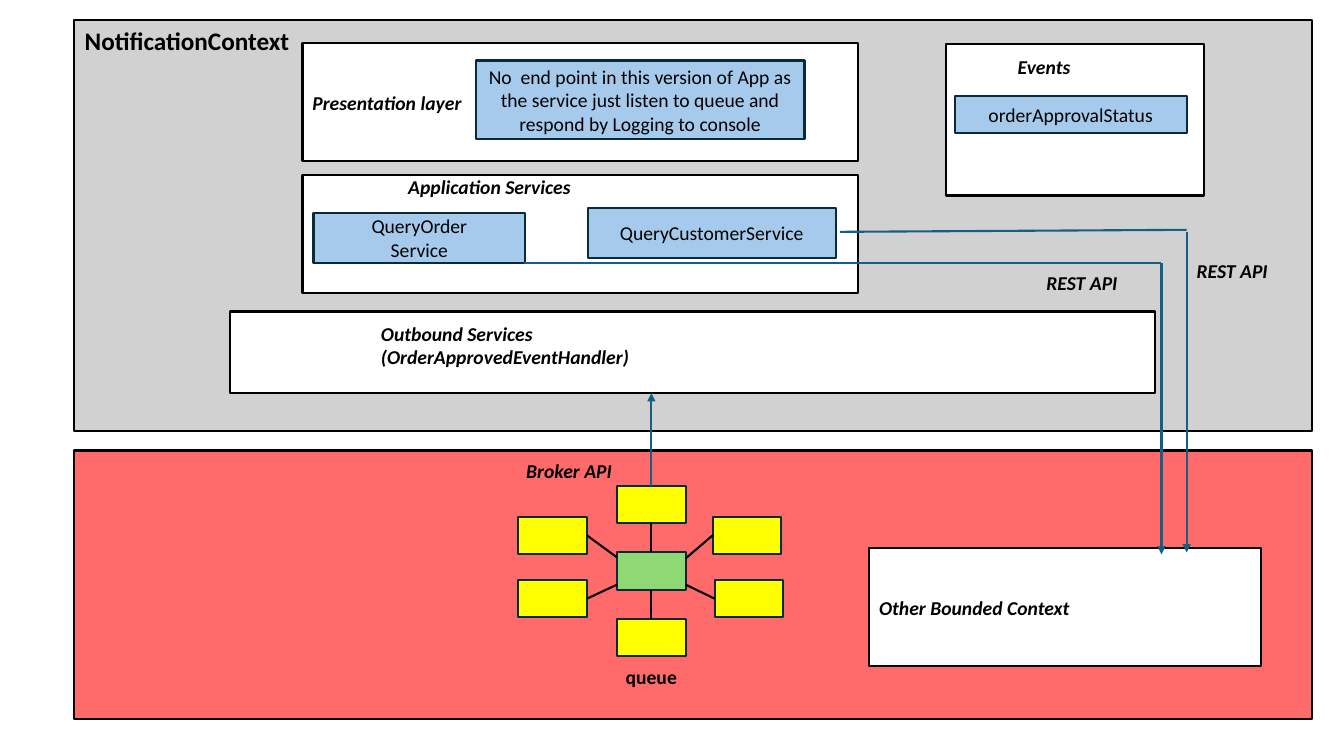
"""Build the NotificationContext architecture slide."""
from dataclasses import dataclass

from pptx import Presentation
from pptx import util as u
from pptx.dml.color import RGBColor
from pptx.enum import shapes, text
from pptx.oxml import ns, xmlchemy

BLACK = RGBColor(0x00, 0x00, 0x00)
WHITE = RGBColor(0xFF, 0xFF, 0xFF)
GREY = RGBColor(0xD1, 0xD1, 0xD1)
RED = RGBColor(0xFF, 0x00, 0x00)
BLUE = RGBColor(0xA6, 0xCA, 0xEC)
NAVY = RGBColor(0x09, 0x2A, 0x39)
TEAL = RGBColor(0x15, 0x60, 0x82)
YELLOW = RGBColor(0xFF, 0xFF, 0x00)
GREEN = RGBColor(0x8E, 0xD9, 0x73)
LEFT, MID = text.PP_ALIGN.LEFT, text.PP_ALIGN.CENTER


@dataclass(frozen=True)
class Style:
    size: int = 14
    bold: bool = False
    slant: bool = False
    align: text.PP_ALIGN = LEFT


HEAD = Style(18, bold=True, align=MID)
LABEL = Style(bold=True, slant=True)
CENTRED = Style(bold=True, slant=True, align=MID)
BROKER = Style(bold=True, align=MID)
PLAIN = Style(align=MID)


@dataclass(frozen=True)
class Box:
    left: float
    top: float
    width: float
    height: float
    fill: RGBColor = WHITE
    edge: RGBColor = BLACK
    lines: tuple[str, ...] = ()
    style: Style = LABEL
    alpha: int = 100


@dataclass(frozen=True)
class Note:
    left: float
    top: float
    width: float
    lines: tuple[str, ...]
    style: Style = LABEL
    height: float = 0.34


@dataclass(frozen=True)
class Link:
    x1: float
    y1: float
    x2: float
    y2: float
    arrow: bool = False
    color: RGBColor = TEAL


def service(left: float, top: float, width: float, height: float, *lines: str) -> Box:
    return Box(left, top, width, height, BLUE, NAVY, lines, PLAIN)


BOXES = [
    Box(0.73, 0.2, 12.28, 4.08, GREY),
    Box(0.73, 4.47, 12.28, 2.66, RED, alpha=58),
    Box(3, 0.43, 5.51, 1.17, lines=("Presentation layer",)),
    Box(3, 1.74, 5.51, 1.17),
    Box(9.38, 0.44, 2.56, 1.5),
    Box(2.28, 3.09, 9.18, 0.81),
    Box(8.62, 5.44, 3.89, 1.17, lines=("Other Bounded Context",)),
    service(4.72, 0.6, 3.26, 0.78, "No  end point in this version of App as the service "
            "just listen to queue and respond by Logging to console"),
    service(3.11, 2.11, 2.1, 0.5, "QueryOrder", "Service"),
    service(5.83, 2.06, 2.46, 0.5, "QueryCustomerService"),
    service(9.47, 0.95, 2.3, 0.37, "orderApprovalStatus"),
]
NOTES = [
    Note(3.95, 1.69, 1.89, ("Application Services",)),
    Note(9.41, 0.5, 1.89, ("Events",), CENTRED),
    Note(3.68, 3.14, 4.29, ("Outbound Services", "(OrderApprovedEventHandler)"), height=0.58),
    Note(5.12, 4.5, 1.25, ("Broker API",)),
    Note(5.33, 6.55, 2.26, ("queue",), BROKER),
    Note(11.77, 2.52, 1.67, ("REST API",)),
    Note(10.28, 2.64, 1.67, ("REST API",)),
]
LINKS = [
    Link(8.33, 2.3, 11.77, 2.28),
    Link(11.77, 2.3, 11.77, 5.48, True),
    Link(5.2, 2.61, 11.52, 2.61),
    Link(11.52, 2.61, 11.52, 5.5, True),
    Link(6.46, 4.82, 6.46, 3.9, True),
]
NODES = [(5.14, 5.13), (5.14, 5.75), (6.12, 4.82), (7.07, 5.13), (7.09, 5.75), (6.12, 6.14)]
HUB = (6.12, 5.48)
SPOKES = [
    (6.46, 5.48, 6.46, 5.18), (6.8, 5.54, 7.07, 5.31), (6.8, 5.8, 7.09, 5.94),
    (6.46, 5.85, 6.46, 6.14), (6.12, 5.8, 5.82, 5.94), (6.12, 5.53, 5.82, 5.31),
]


def write(frame, lines: tuple[str, ...], style: Style, anchor=text.MSO_ANCHOR.TOP) -> None:
    frame.word_wrap = True
    frame.vertical_anchor = anchor
    for row, line in enumerate(lines):
        para = frame.add_paragraph() if row else frame.paragraphs[0]
        para.alignment = style.align
        run = para.add_run()
        run.text = line
        font = run.font
        font.name, font.size = "Calibri", u.Pt(style.size)
        font.bold, font.italic = style.bold, style.slant
        font.color.rgb = BLACK


def add_box(tree, box: Box) -> None:
    place = map(u.Inches, (box.left, box.top, box.width, box.height))
    shape = tree.add_shape(shapes.MSO_SHAPE.RECTANGLE, *place)
    shape.shadow.inherit = False
    shape.fill.solid()
    shape.fill.fore_color.rgb = box.fill
    shape.line.color.rgb = box.edge
    shape.line.width = u.Pt(1.5)
    if box.alpha < 100:
        color = shape._element.spPr.find(ns.qn("a:solidFill"))[0]
        alpha = xmlchemy.OxmlElement("a:alpha")
        alpha.set("val", str(box.alpha * 1000))
        color.append(alpha)
    write(shape.text_frame, box.lines, box.style, text.MSO_ANCHOR.MIDDLE)


def add_note(tree, note: Note) -> None:
    place = map(u.Inches, (note.left, note.top, note.width, note.height))
    write(tree.add_textbox(*place).text_frame, note.lines, note.style)


def add_link(tree, link: Link) -> None:
    ends = map(u.Inches, (link.x1, link.y1, link.x2, link.y2))
    line = tree.add_connector(shapes.MSO_CONNECTOR.STRAIGHT, *ends)
    line.line.color.rgb = link.color
    line.line.width = u.Pt(1.5)
    if link.arrow:
        tail = xmlchemy.OxmlElement("a:tailEnd")
        tail.set("type", "triangle")
        line.line._get_or_add_ln().append(tail)
    line._element.spPr.append(xmlchemy.OxmlElement("a:effectLst"))


def add_broker(tree) -> None:
    group = tree.add_group_shape().shapes
    for spot in NODES:
        add_box(group, Box(*spot, 0.68, 0.37, YELLOW, NAVY))
    add_box(group, Box(*HUB, 0.68, 0.37, GREEN, NAVY))
    for spoke in SPOKES:
        add_link(group, Link(*spoke, color=BLACK))


def set_title(slide) -> None:
    title = slide.shapes.title
    title.left, title.top = u.Inches(0.56), u.Inches(0.2)
    title.width, title.height = u.Inches(2.59), u.Inches(0.4)
    title.text_frame.auto_size = text.MSO_AUTO_SIZE.NONE
    write(title.text_frame, ("NotificationContext",), HEAD)
    slide.shapes._spTree.append(title._element)


def main() -> None:
    deck = Presentation()
    deck.slide_width, deck.slide_height = u.Inches(13.33), u.Inches(7.5)
    slide = deck.slides.add_slide(deck.slide_layouts[5])
    tree = slide.shapes
    for box in BOXES:
        add_box(tree, box)
    add_broker(tree)
    for note in NOTES:
        add_note(tree, note)
    for link in LINKS:
        add_link(tree, link)
    set_title(slide)
    deck.save("out.pptx")


if __name__ == "__main__":
    main()
